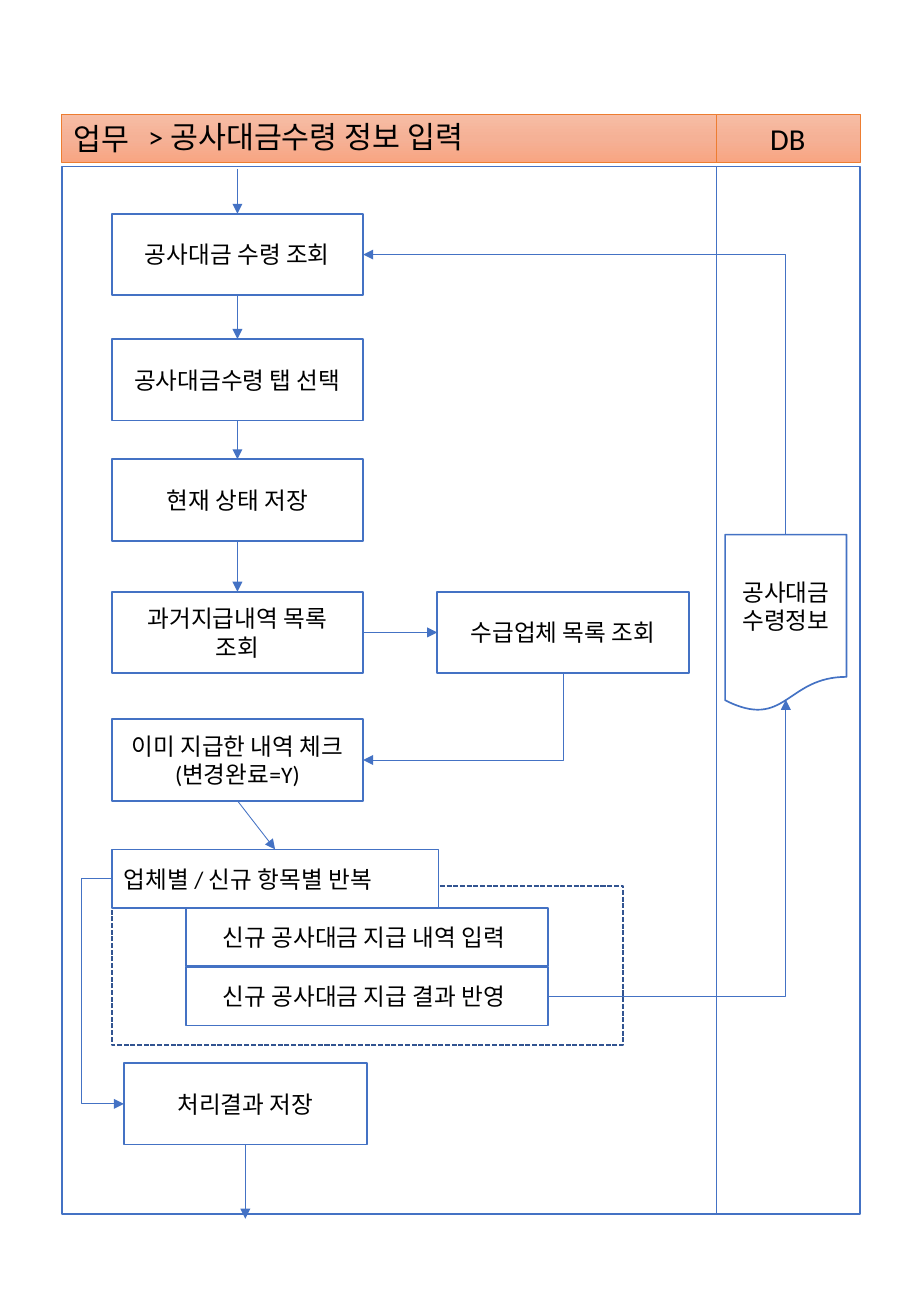
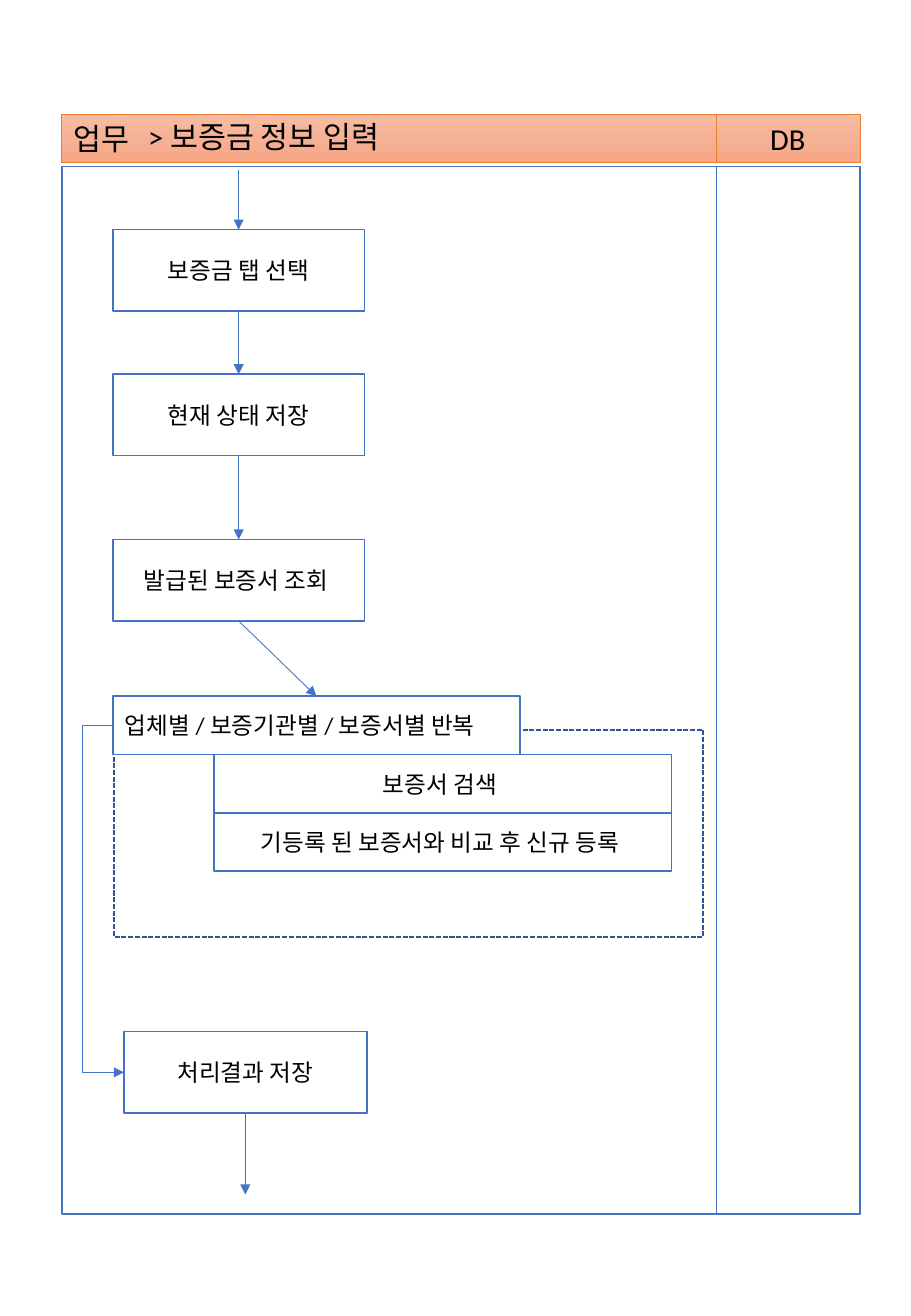
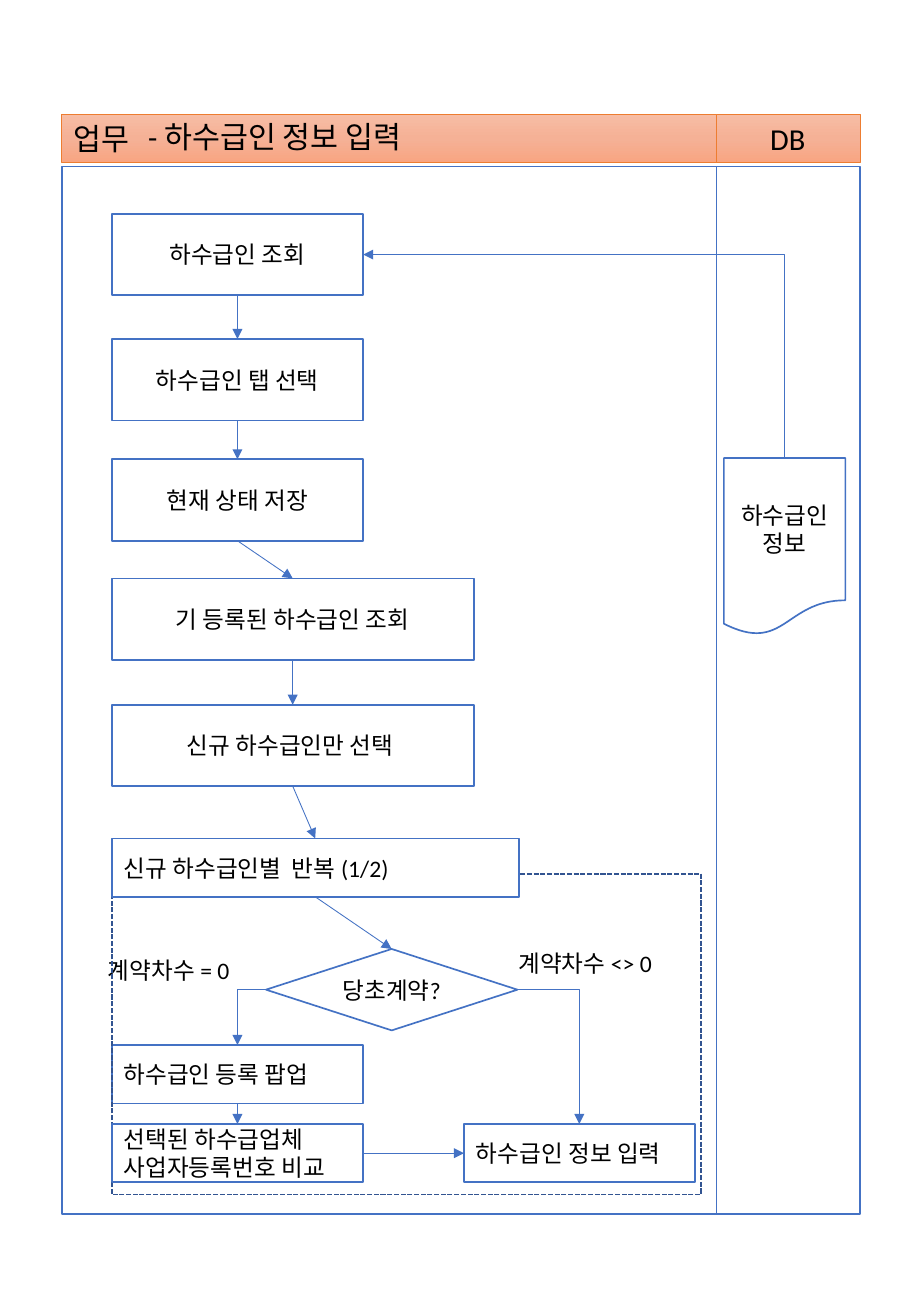
from copy import deepcopy

from lxml.etree import SubElement
from pptx import Presentation
from pptx.dml.color import RGBColor
from pptx.enum.dml import MSO_LINE
from pptx.enum.shapes import MSO_CONNECTOR as Link, MSO_SHAPE as Preset
from pptx.enum.text import MSO_ANCHOR as Anchor, MSO_AUTO_SIZE as Fit, PP_ALIGN as Align
from pptx.oxml.ns import qn
from pptx.util import Inches, Pt

COLORS = {
    "paper": "FFFFFF",
    "ink": "000000",
    "blue": "4472C4",
    "navy": "325491",
    "orange": "ED7D31",
    "band_top": "F7BDA5",
    "band_middle": "F5B196",
    "band_bottom": "F8A582",
}
FONT = "Calibri"
TOP, LEFT, BOTTOM, RIGHT = range(4)
STEP_WIDTH, STEP_HEIGHT, ROW_HEIGHT = 2.07, 0.67, 0.48
LANES = [(5.89, 1.19, "DB", Align.CENTER), (0.51, 5.39, "업무", Align.LEFT)]


def color(name):
    return RGBColor.from_string(COLORS[name])


def side(box, index):
    across = (box.width // 2, 0, box.width // 2, box.width)[index]
    down = (0, box.height // 2, box.height, box.height // 2)[index]
    return box.left + across, box.top + down


class FlowDeck:
    def __init__(self):
        self.deck = Presentation()
        self.deck.slide_width = Inches(7.5)
        self.deck.slide_height = Inches(10.83)
        self.layout = self.deck.slide_layouts[5]
        self.page = None

    def start_page(self, title, width):
        self.page = self.deck.slides.add_slide(self.layout)
        if len(self.deck.slides) == 1:
            self.share_lanes()
        box = self.page.shapes.title
        self.place(box, 1.12, 0.92, width, 0.4)
        self.add_text(box, title, 18, Align.LEFT, Anchor.TOP, False)

    def share_lanes(self):
        for holder in list(self.layout.placeholders)[1:]:
            holder.element.getparent().remove(holder.element)
        lanes = [self.shape(Preset.RECTANGLE, left, 1.37, width, 8.62) for left, width, _, _ in LANES]
        lanes += [self.band(*lane) for lane in LANES]
        for index, lane in enumerate(lanes, 2):
            self.layout.shapes.element.insert(index, lane.element)

    def band(self, left, width, text, align):
        box = self.shape(Preset.RECTANGLE, left, 0.94, width, 0.4, text, align, 18)
        box.line.color.rgb = color("orange")
        box.line.width = Pt(0.5)
        box.fill.gradient()
        box.fill.gradient_angle = 270
        stops = box.element.spPr.find(qn("a:gradFill")).find(qn("a:gsLst"))
        stops.insert(1, deepcopy(stops[0]))
        for index, name in enumerate(("band_top", "band_middle", "band_bottom")):
            stop = box.fill.gradient_stops[index]
            stop.color.rgb = color(name)
            stop.position = index / 2
        return box

    def place(self, box, left, top, width, height):
        box.left, box.top = Inches(left), Inches(top)
        box.width, box.height = Inches(width), Inches(height)

    def add_text(self, box, text, size, align, anchor=Anchor.MIDDLE, wrap=True):
        frame = box.text_frame
        frame.word_wrap = wrap
        frame.auto_size = Fit.NONE if wrap else Fit.SHAPE_TO_FIT_TEXT
        frame.vertical_anchor = anchor
        for index, line in enumerate(text.split("\n")):
            para = frame.add_paragraph() if index else frame.paragraphs[0]
            para.alignment = align
            span = para.add_run()
            span.text = line
            span.font.name = FONT
            span.font.size = Pt(size)
            span.font.color.rgb = color("ink")

    def shape(self, preset, left, top, width, height, text="", align=Align.CENTER, size=14):
        box = self.page.shapes.add_shape(
            preset, Inches(left), Inches(top), Inches(width), Inches(height))
        box.shadow.inherit = False
        box.fill.solid()
        box.fill.fore_color.rgb = color("paper")
        box.line.color.rgb = color("blue")
        box.line.width = Pt(1)
        if text:
            self.add_text(box, text, size, align)
        return box

    def step(self, left, top, text, width=STEP_WIDTH):
        return self.shape(Preset.FLOWCHART_PROCESS, left, top, width, STEP_HEIGHT, text)

    def row(self, left, top, width, text, align=Align.LEFT):
        return self.shape(Preset.FLOWCHART_PROCESS, left, top, width, ROW_HEIGHT, text, align)

    def document(self, left, top, text):
        return self.shape(Preset.FLOWCHART_DOCUMENT, left, top, 1, 1.46, text)

    def loop_area(self, left, top, width, height):
        box = self.shape(Preset.FLOWCHART_PROCESS, left, top, width, height)
        box.fill.background()
        box.line.color.rgb = color("navy")
        box.line.dash_style = MSO_LINE.SQUARE_DOT

    def label(self, left, top, width, text):
        box = self.page.shapes.add_textbox(
            Inches(left), Inches(top), Inches(width), Inches(0.34))
        self.add_text(box, text, 14, Align.LEFT, Anchor.TOP, False)

    def connector(self, kind, start, end, arrow="a:tailEnd"):
        line = self.page.shapes.add_connector(kind, *start, *end)
        line.line.color.rgb = color("blue")
        line.line.width = Pt(0.5)
        properties = line.element.spPr
        SubElement(properties.find(qn("a:ln")), qn(arrow)).set("type", "triangle")
        SubElement(properties, qn("a:effectLst"))
        return line

    def link(self, first, second, leave=BOTTOM, enter=TOP):
        line = self.connector(Link.STRAIGHT, side(first, leave), side(second, enter))
        line.begin_connect(first, leave)
        line.end_connect(second, enter)

    def chain(self, *boxes):
        for first, second in zip(boxes, boxes[1:]):
            self.link(first, second)

    def enter(self, box, top):
        x, y = side(box, TOP)
        self.connector(Link.STRAIGHT, (x, Inches(top)), (x, y)).end_connect(box, TOP)

    def leave(self, box, bottom):
        x, y = side(box, BOTTOM)
        self.connector(Link.STRAIGHT, (x, y), (x, Inches(bottom))).begin_connect(box, BOTTOM)

    def corner(self, start, end, arrow="a:tailEnd"):
        line = self.connector(Link.ELBOW, start, end, arrow)
        line.element.spPr.find(qn("a:prstGeom")).set("prst", "bentConnector2")

    def detour(self, first, second):
        start, end = side(first, LEFT), side(second, LEFT)
        line = self.connector(Link.ELBOW, start, end)
        ratio = round(-Inches(0.25) / (end[0] - start[0]) * 100000)
        geometry = line.element.spPr.find(qn("a:prstGeom"))
        guide = SubElement(geometry.find(qn("a:avLst")), qn("a:gd"))
        guide.set("name", "adj1")
        guide.set("fmla", f"val {ratio}")


def payment_page(flow):
    flow.start_page("> 공사대금수령 정보 입력", 3.08)
    query = flow.step(0.92, 1.76, "공사대금 수령 조회")
    tab = flow.step(0.92, 2.79, "공사대금수령 탭 선택")
    state = flow.step(0.92, 3.78, "현재 상태 저장")
    history = flow.step(0.92, 4.87, "과거지급내역 목록 조회")
    vendors = flow.step(3.6, 4.87, "수급업체 목록 조회")
    check = flow.step(0.92, 5.92, "이미 지급한 내역 체크 (변경완료=Y)")
    store = flow.document(5.97, 4.4, "공사대금\n수령정보")
    flow.row(1.53, 7.47, 2.98, "신규 공사대금 지급 내역 입력 ", Align.CENTER)
    outcome = flow.row(1.53, 7.96, 2.98, "신규 공사대금 지급 결과 반영 ", Align.CENTER)
    save = flow.step(1.02, 8.75, "처리결과 저장", 2)
    flow.loop_area(0.92, 7.29, 4.21, 1.31)
    loop = flow.row(0.92, 6.99, 2.69, "업체별 / 신규 항목별 반복")
    flow.enter(query, 1.39)
    flow.chain(query, tab, state, history)
    flow.link(history, vendors, RIGHT, LEFT)
    flow.corner(side(check, RIGHT), side(vendors, BOTTOM), "a:headEnd")
    flow.link(check, loop)
    flow.corner(side(query, RIGHT), side(store, TOP), "a:headEnd")
    flow.corner(side(outcome, RIGHT), (side(store, BOTTOM)[0], Inches(5.76)))
    flow.detour(loop, save)
    flow.leave(save, 10.03)


def deposit_page(flow):
    flow.start_page("> 보증금 정보 입력", 2.33)
    tab = flow.step(0.93, 1.89, "보증금 탭 선택")
    state = flow.step(0.93, 3.08, "현재 상태 저장")
    issued = flow.step(0.93, 4.44, "발급된 보증서 조회 ")
    flow.row(1.76, 6.21, 3.77, "보증서 검색 ", Align.CENTER)
    flow.row(1.76, 6.69, 3.77, "기등록 된 보증서와 비교 후 신규 등록 ", Align.CENTER)
    save = flow.step(1.02, 8.49, "처리결과 저장", 2)
    flow.loop_area(0.94, 6.01, 4.85, 1.7)
    loop = flow.row(0.93, 5.73, 3.35, "업체별 / 보증기관별 / 보증서별 반복")
    flow.enter(tab, 1.4)
    flow.chain(tab, state, issued, loop)
    flow.detour(loop, save)
    flow.leave(save, 9.83)


def subcontractor_page(flow):
    flow.start_page("- 하수급인 정보 입력", 2.53)
    query = flow.step(0.92, 1.76, "하수급인 조회")
    tab = flow.step(0.92, 2.79, "하수급인 탭 선택")
    state = flow.step(0.92, 3.78, "현재 상태 저장")
    registered = flow.step(0.92, 4.76, "기 등록된 하수급인 조회", 2.98)
    fresh = flow.step(0.92, 5.8, "신규 하수급인만 선택 ", 2.98)
    store = flow.document(5.96, 3.77, "하수급인\n정보")
    decision = flow.shape(
        Preset.FLOWCHART_DECISION, 2.19, 7.81, STEP_WIDTH, STEP_HEIGHT, "당초계약?")
    popup = flow.row(0.92, 8.6, STEP_WIDTH, "하수급인 등록 팝업")
    flow.label(4.17, 7.76, 1.37, "계약차수 <> 0")
    flow.label(0.79, 7.82, 1.27, "계약차수 = 0")
    flow.loop_area(0.92, 7.19, 4.85, 2.64)
    loop = flow.row(0.92, 6.9, 3.35, "신규 하수급인별  반복 (1/2)")
    compare = flow.row(0.92, 9.25, STEP_WIDTH, "선택된 하수급업체 사업자등록번호 비교")
    entry = flow.row(3.82, 9.25, 1.9, "하수급인 정보 입력")
    flow.chain(query, tab, state, registered, fresh, loop, decision)
    flow.corner(side(query, RIGHT), side(store, TOP), "a:headEnd")
    flow.corner(side(decision, LEFT), side(popup, TOP))
    flow.corner(side(decision, RIGHT), side(entry, TOP))
    flow.link(popup, compare)
    flow.link(compare, entry, RIGHT, LEFT)


def main():
    flow = FlowDeck()
    payment_page(flow)
    deposit_page(flow)
    subcontractor_page(flow)
    flow.deck.save("out.pptx")


if __name__ == "__main__":
    main()
